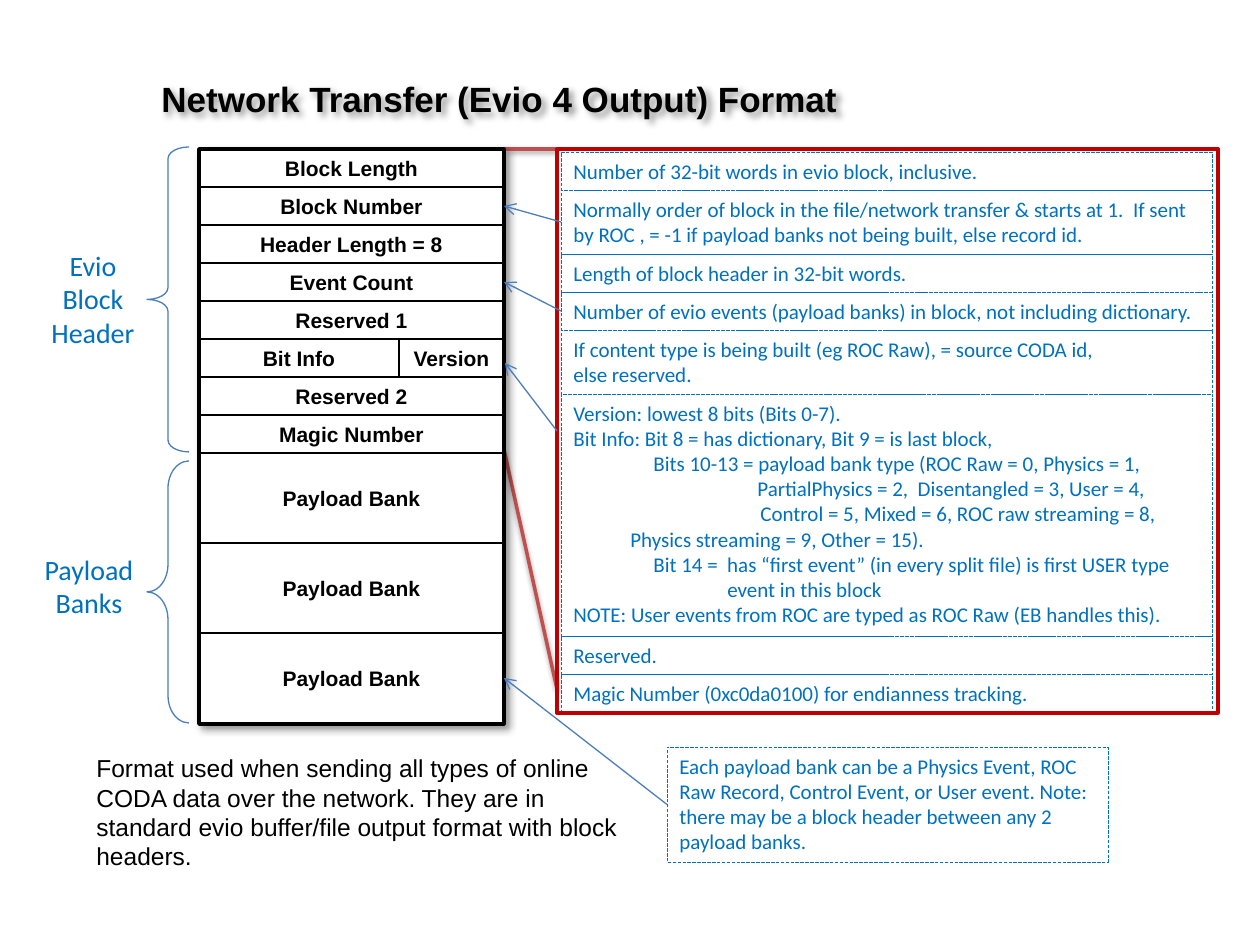
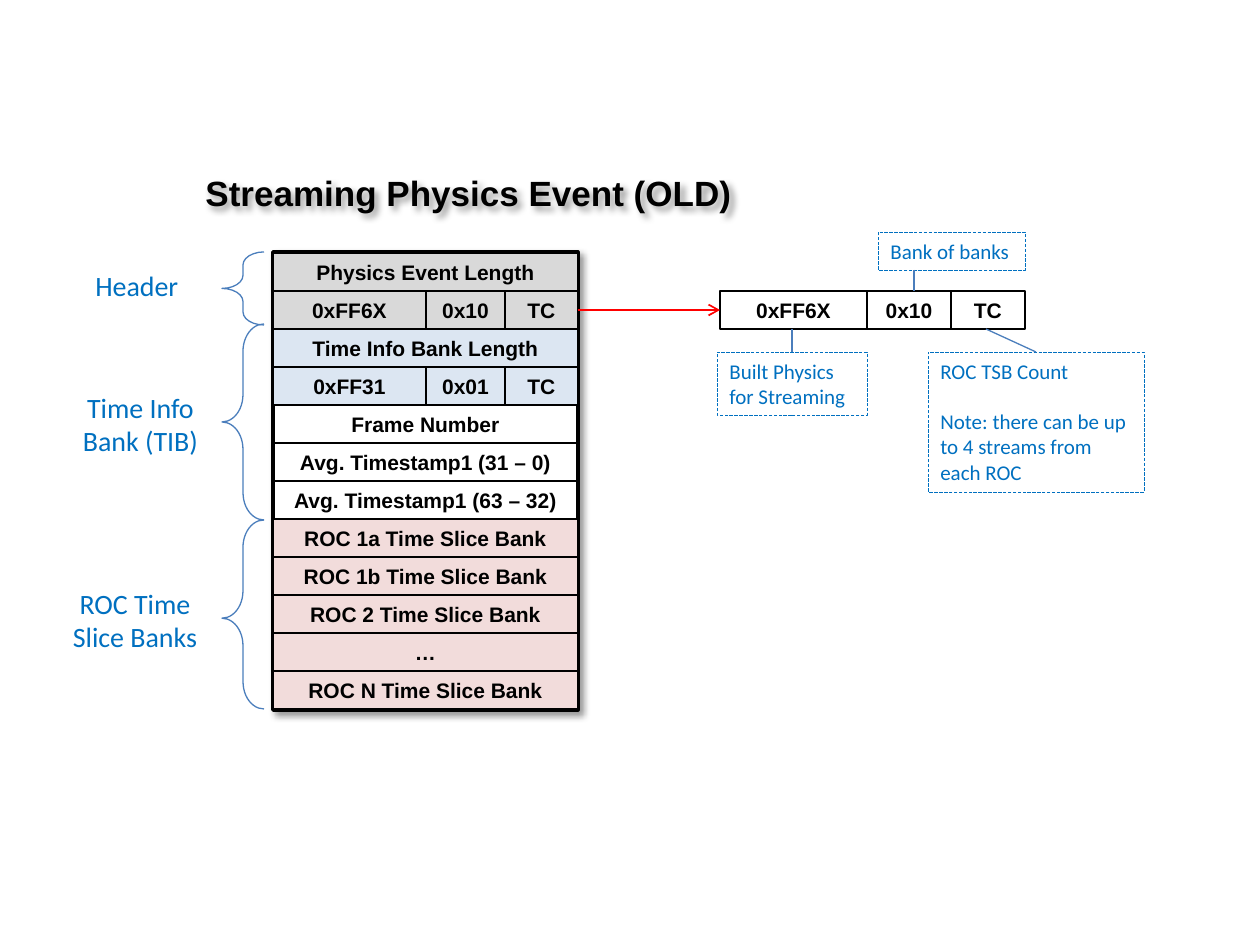
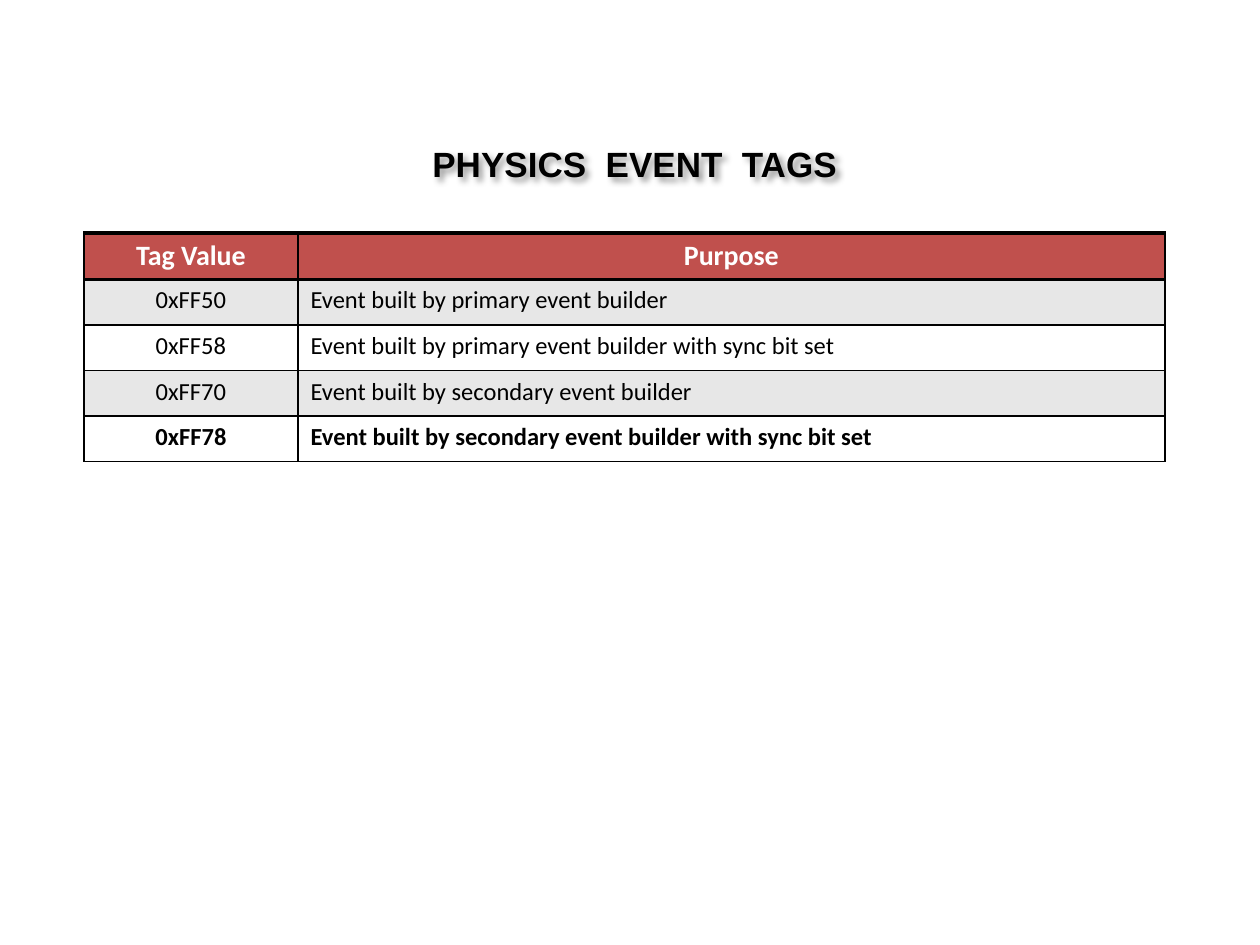
from dataclasses import dataclass

from lxml.etree import SubElement
from pptx import Presentation
from pptx.dml.color import RGBColor
from pptx.enum.dml import MSO_LINE
from pptx.enum.shapes import MSO_CONNECTOR, MSO_SHAPE
from pptx.enum.text import MSO_ANCHOR, PP_ALIGN
from pptx.oxml.ns import qn
from pptx.util import Pt

BLACK = RGBColor(0x00, 0x00, 0x00)
WHITE = RGBColor(0xFF, 0xFF, 0xFF)
NOTE_BLUE = RGBColor(0x00, 0x70, 0xC0)
LINK_BLUE = RGBColor(0x4B, 0x7E, 0xBC)
BRICK = RGBColor(0xC0, 0x50, 0x4D)
FRAME_RED = RGBColor(0xC0, 0x00, 0x00)
ARROW_RED = RGBColor(0xFF, 0x00, 0x00)
HEADER_GRAY = RGBColor(0xD9, 0xD9, 0xD9)
TIME_BLUE = RGBColor(0xDC, 0xE6, 0xF2)
SLICE_PINK = RGBColor(0xF2, 0xDC, 0xDB)
BAND_GRAY = RGBColor(0xE7, 0xE7, 0xE7)

TOP, LEFT, RIGHT = 0, 1, 3  # connection sites of a rectangle
ROW_W, ROW_H = 305, 38
BRACE_W = 42


@dataclass
class Style:
    font: str
    size: int
    color: RGBColor
    bold: bool = False


TITLE = Style("Arial", 20, BLACK, True)
WORD = Style("Arial", 12, BLACK, True)
BODY = Style("Arial", 14, BLACK)
NOTE = Style("Calibri", 12, NOTE_BLUE)
GROUP = Style("Calibri", 16, NOTE_BLUE)


@dataclass
class Line:
    """A paragraph; margin and first-line indent in px, space before in points."""
    text: str
    margin: int = 0
    first: int = 0
    before: float = 0


def px(length):
    return round(length * 914400 / 126)


def cast_shadow(effects, alpha, blur, distance, angle):
    shadow = SubElement(effects, qn("a:outerShdw"), blurRad=str(Pt(blur)), dist=str(Pt(distance)),
                        dir=str(angle * 60000), algn="tl", rotWithShape="0")
    color = SubElement(shadow, qn("a:srgbClr"), val=str(BLACK))
    SubElement(color, qn("a:alpha"), val=str(alpha * 1000))


def style_run(run, style):
    run.font.name = style.font
    run.font.size = Pt(style.size)
    run.font.bold = style.bold
    run.font.color.rgb = style.color


def write(frame, lines, style, align=PP_ALIGN.LEFT):
    frame.word_wrap = True
    for number, line in enumerate(lines):
        if isinstance(line, str):
            line = Line(line)
        paragraph = frame.paragraphs[0] if number == 0 else frame.add_paragraph()
        paragraph.alignment = align
        if line.before:
            paragraph.space_before = Pt(line.before)
        if line.margin:
            properties = paragraph._p.get_or_add_pPr()
            properties.set("marL", str(px(line.margin)))
            properties.set("indent", str(px(line.first)))
        run = paragraph.add_run()
        run.text = line.text
        style_run(run, style)


def add_text(slide, box, lines, style, align=PP_ALIGN.LEFT):
    label = slide.shapes.add_textbox(*map(px, box))
    write(label.text_frame, lines, style, align)
    return label


def add_title(slide, box, text):
    title = add_text(slide, box, [text], TITLE)
    cast_shadow(SubElement(title.element.spPr, qn("a:effectLst")), 40, 4, 3, 45)


def add_outline(slide, kind, box, color, width, fill=None):
    shape = slide.shapes.add_shape(kind, *map(px, box))
    shape.shadow.inherit = False
    shape.line.color.rgb = color
    shape.line.width = Pt(width)
    if fill is None:
        shape.fill.background()
    else:
        shape.fill.solid()
        shape.fill.fore_color.rgb = fill
    return shape


def add_backing(slide, box):
    """Shadowed frame behind a stack of words."""
    backing = add_outline(slide, MSO_SHAPE.RECTANGLE, box, BLACK, 2, WHITE)
    cast_shadow(backing.element.spPr.find(qn("a:effectLst")), 40, 4, 3, 45)


def add_link(slide, start, end, color=LINK_BLUE, width=0.75, arrow=False):
    """Straight line; each end is an (x, y) point or a (shape, site) joint."""
    points = [(0, 0) if not isinstance(joint[0], int) else joint for joint in (start, end)]
    link = slide.shapes.add_connector(MSO_CONNECTOR.STRAIGHT, *(px(v) for p in points for v in p))
    if not isinstance(start[0], int):
        link.begin_connect(*start)
    if not isinstance(end[0], int):
        link.end_connect(*end)
    link.line.color.rgb = color
    link.line.width = Pt(width)
    properties = link.element.spPr
    if arrow:
        SubElement(properties.find(qn("a:ln")), qn("a:tailEnd"), type="arrow")
    return SubElement(properties, qn("a:effectLst"))


def add_word(slide, left, top, content, fill=None, height=ROW_H):
    """One row of the layout: a text, or (text, width) fields side by side."""
    fields = ((content, ROW_W),) if isinstance(content, str) else content
    cells = []
    for text, width in fields:
        cell = add_outline(slide, MSO_SHAPE.RECTANGLE, (left, top, width, height), BLACK, 1.5, fill)
        cell.text_frame.margin_left = cell.text_frame.margin_right = 0
        cell.text_frame.vertical_anchor = MSO_ANCHOR.MIDDLE
        write(cell.text_frame, [text], WORD, PP_ALIGN.CENTER)
        cells.append(cell)
        left += width
    return cells


def add_note(slide, box, lines):
    note = add_outline(slide, MSO_SHAPE.RECTANGLE, box, NOTE_BLUE, 0.25)
    note.line.dash_style = MSO_LINE.LONG_DASH
    note.text_frame.vertical_anchor = MSO_ANCHOR.TOP
    write(note.text_frame, lines, NOTE)
    return note


def add_brace(slide, left, top, height, curve, point=0.5):
    brace = add_outline(slide, MSO_SHAPE.LEFT_BRACE, (left, top, BRACE_W, height), LINK_BLUE, 0.75)
    brace.adjustments[0] = curve
    brace.adjustments[1] = point


BIT_INFO = [
    "Version: lowest 8 bits (Bits 0-7).",
    "Bit Info: Bit 8 = has dictionary, Bit 9 = is last block,",
    Line("Bits 10-13 = payload bank type (ROC Raw = 0, Physics = 1,", margin=80),
    Line("PartialPhysics = 2,  Disentangled = 3, User = 4,", margin=184),
    Line("Control = 5, Mixed = 6, ROC raw streaming = 8, Physics streaming = 9, Other = 15).",
         margin=57, first=130),
    Line("Bit 14 =  has “first event” (in every split file) is first USER type", margin=80),
    Line("event in this block", margin=154),
    "NOTE: User events from ROC are typed as ROC Raw (EB handles this).",
]

BLOCK_NOTES = [
    (38, ["Number of 32-bit words in evio block, inclusive."]),
    (64, ["Normally order of block in the file/network transfer & starts at 1.  If sent by ROC , "
          "= -1 if payload banks not being built, else record id."]),
    (38, ["Length of block header in 32-bit words."]),
    (38, ["Number of evio events (payload banks) in block, not including dictionary."]),
    (64, ["If content type is being built (eg ROC Raw), = source CODA id,", "else reserved."]),
    (242, BIT_INFO),
    (38, ["Reserved."]),
    (38, ["Magic Number (0xc0da0100) for endianness tracking."]),
]

BLOCK_WORDS = [
    "Block Length",
    "Block Number",
    "Header Length = 8",
    "Event Count",
    "Reserved 1",
    (("Bit Info", 200), ("Version", 105)),
    "Reserved 2",
    "Magic Number",
]


def block_stack(slide, left, top):
    add_backing(slide, (left, top, ROW_W, 575))
    words = [add_word(slide, left, top + i * ROW_H, content)
             for i, content in enumerate(BLOCK_WORDS)]
    banks_top, bank_height = top + len(words) * ROW_H, 90
    banks = [add_word(slide, left, banks_top + i * bank_height, "Payload Bank", height=bank_height)
             for i in range(3)]
    return words, banks


def block_notes(slide, left, top):
    notes, note_top = [], top + 3
    for height, lines in BLOCK_NOTES:
        notes.append(add_note(slide, (left + 4, note_top, 651, height), lines))
        note_top += height
    frame = add_outline(slide, MSO_SHAPE.RECTANGLE, (left, top, 661, 564), FRAME_RED, 2)
    return notes, frame


def network_slide(slide):
    left, top, notes_left = 199, 149, 557
    right = left + ROW_W
    for start, end in (((right, 450), (notes_left, 689)), ((right, top), (notes_left, top))):
        cast_shadow(add_link(slide, start, end, BRICK, 2), 38, 3.1, 1.6, 90)
    add_title(slide, (149, 71, 733, 55), "Network Transfer (Evio 4 Output) Format")
    words, banks = block_stack(slide, left, top)
    notes, frame = block_notes(slide, notes_left, top)
    bank_note = add_note(slide, (667, 747, 441, 115), [
        "Each payload bank can be a Physics Event, ROC Raw Record, Control Event, or User event. "
        "Note: there may be a block header between any 2 payload banks."])
    for start, end in (((notes[1], LEFT), (words[1][-1], RIGHT)),
                       ((notes[3], LEFT), (words[3][-1], RIGHT)),
                       ((frame, LEFT), (right + 1, 363)),
                       ((bank_note, LEFT), (banks[2][-1], RIGHT))):
        add_link(slide, start, end, arrow=True)
    add_text(slide, (84, 747, 557, 131), [
        "Format used when sending all types of online CODA data over the network. They are in "
        "standard evio buffer/file output format with block headers."], BODY)
    add_text(slide, (35, 242, 116, 115), ["Evio Block Header"], GROUP, PP_ALIGN.CENTER)
    add_text(slide, (31, 546, 116, 81), ["Payload Banks"], GROUP, PP_ALIGN.CENTER)
    add_brace(slide, 147, 147, 305, 0.28)
    add_brace(slide, 147, 461, 262, 0.65)


EVENT_WORDS = [
    ("Physics Event Length", HEADER_GRAY),
    ((("0xFF6X", 153), ("0x10", 79), ("TC", 73)), HEADER_GRAY),
    ("Time Info Bank Length", TIME_BLUE),
    ((("0xFF31", 153), ("0x01", 79), ("TC", 73)), TIME_BLUE),
    ("Frame Number", None),
    ("Avg. Timestamp1 (31 – 0)", None),
    ("Avg. Timestamp1 (63 – 32)", None),
    ("ROC 1a Time Slice Bank", SLICE_PINK),
    ("ROC 1b Time Slice Bank", SLICE_PINK),
    ("ROC 2 Time Slice Bank", SLICE_PINK),
    ("…", SLICE_PINK),
    ("ROC N Time Slice Bank", SLICE_PINK),
]


def event_stack(slide, left, top):
    add_backing(slide, (left, top - 1, ROW_W, 458))
    return [add_word(slide, left, top + i * ROW_H, content, fill)
            for i, (content, fill) in enumerate(EVENT_WORDS)]


def tag_detail(slide, left, top):
    """The tag word enlarged, with a note on each field."""
    bottom = top + ROW_H
    tag = add_word(slide, left, top, (("0xFF6X", 147), ("0x10", 84), ("TC", 74)), WHITE)
    add_note(slide, (left + 158, top - 59, 147, 38), ["Bank of banks"])
    built = add_note(slide, (left - 3, top + 61, 150, 63), ["Built Physics for Streaming"])
    count = add_note(slide, (left + 208, top + 61, 216, 140), [
        "ROC TSB Count",
        Line("Note: there can be up to 4 streams from each ROC", before=14.5)])
    add_link(slide, (left + 194, top - 21), (left + 194, top))
    add_link(slide, (left + 72, bottom), (built, TOP))
    add_link(slide, (left + 266, bottom), (count, TOP))
    return tag


def streaming_slide(slide):
    add_title(slide, (193, 165, 575, 55), "Streaming Physics Event (OLD)")
    words = event_stack(slide, 273, 253)
    tag = tag_detail(slide, 720, 291)
    add_link(slide, (words[1][-1], RIGHT), (tag[0], LEFT), ARROW_RED, 1, arrow=True)
    add_text(slide, (83, 262, 116, 47), ["Header"], GROUP)
    add_text(slide, (58, 384, 165, 81), ["Time Info", "Bank (TIB)"], GROUP, PP_ALIGN.CENTER)
    add_text(slide, (58, 580, 154, 81), ["ROC Time Slice Banks"], GROUP, PP_ALIGN.CENTER)
    add_brace(slide, 222, 252, 73, 0.31)
    add_brace(slide, 222, 324, 196, 0.65)
    add_brace(slide, 222, 520, 189, 0.65, 0.52)


TAGS = [
    ("Tag Value", "Purpose"),
    ("0xFF50", "Event built by primary event builder"),
    ("0xFF58", "Event built by primary event builder with sync bit set"),
    ("0xFF70", "Event built by secondary event builder"),
    ("0xFF78", "Event built by secondary event builder with sync bit set"),
]


def rule_cell(cell, top_width, bottom_width):
    properties = cell._tc.get_or_add_tcPr()
    for side, width in (("L", 1), ("R", 1), ("T", top_width), ("B", bottom_width)):
        border = SubElement(properties, qn("a:ln" + side), w=str(Pt(width)))
        fill = SubElement(border, qn("a:solidFill"))
        SubElement(fill, qn("a:srgbClr"), val=str(BLACK))


def tags_slide(slide):
    add_title(slide, (420, 136, 431, 55), "PHYSICS  EVENT  TAGS")
    table = slide.shapes.add_table(len(TAGS), 2, *map(px, (84, 233, 1081, 228))).table
    for column, width in zip(table.columns, (214, 867)):
        column.width = px(width)
    for r, row in enumerate(TAGS):
        heading, last = r == 0, r == len(TAGS) - 1
        style = Style("Calibri", 16, WHITE, True) if heading else Style("Calibri", 14, BLACK, last)
        for c, text in enumerate(row):
            cell = table.cell(r, c)
            rule_cell(cell, 2 if r < 2 else 1, 2 if heading else 1)
            cell.fill.solid()
            cell.fill.fore_color.rgb = BRICK if heading else BAND_GRAY if r % 2 else WHITE
            centred = heading or c == 0
            write(cell.text_frame, [text], style, PP_ALIGN.CENTER if centred else PP_ALIGN.LEFT)


def main():
    deck = Presentation()
    deck.slide_width, deck.slide_height = px(1260), px(945)
    for build in (network_slide, streaming_slide, tags_slide):
        build(deck.slides.add_slide(deck.slide_layouts[6]))
    deck.save("out.pptx")


if __name__ == "__main__":
    main()
